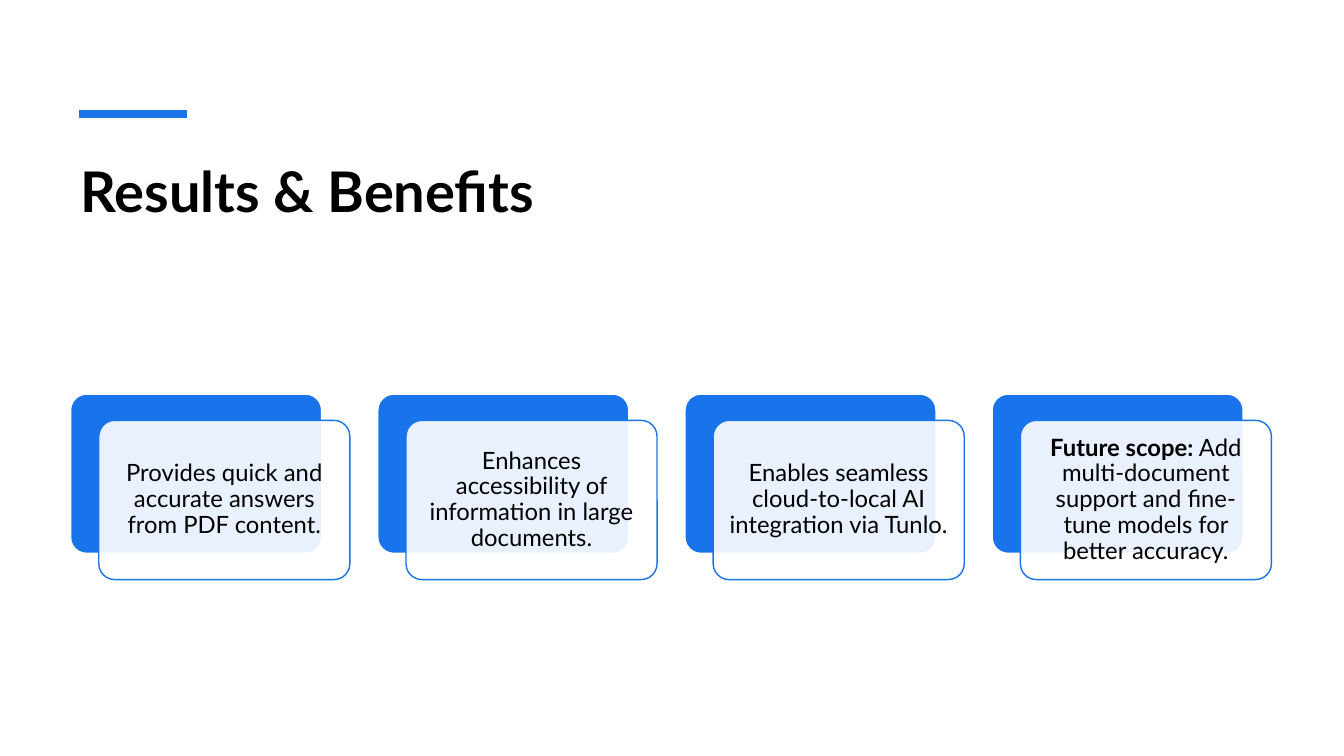
from lxml.etree import SubElement
from pptx import Presentation
from pptx.dml.color import RGBColor
from pptx.enum.shapes import MSO_CONNECTOR, MSO_SHAPE
from pptx.enum.text import MSO_ANCHOR, PP_ALIGN
from pptx.oxml.ns import qn
from pptx.util import Inches, Pt

BLUE = RGBColor(0x19, 0x73, 0xEB)
WHITE = RGBColor(0xFF, 0xFF, 0xFF)
BLACK = RGBColor(0x00, 0x00, 0x00)
FONT = "Lato"

# Grid, in inches
LEFT, SPAN = 0.7, 11.91
CARD_W, CARD_H = 2.49, 1.58
CARD_TOP = 3.91
SHIFT_X, SHIFT_Y = 0.28, 0.26

# Each card holds runs of (text, bold)
CARDS = [
    [("Provides quick and accurate answers from PDF content.", False)],
    [("Enhances accessibility of information in large documents.", False)],
    [("Enables seamless cloud-to-local AI integration via Tunlo.", False)],
    [("Future scope:", True),
     (" Add multi-document support and fine-tune models for better accuracy.", False)],
]


def write(shape, runs, size, align=PP_ALIGN.LEFT, anchor=MSO_ANCHOR.TOP,
          inset=(0.1, 0.05), spacing=1.0):
    frame = shape.text_frame
    frame.word_wrap = True
    frame.vertical_anchor = anchor
    frame.margin_left = frame.margin_right = Inches(inset[0])
    frame.margin_top = frame.margin_bottom = Inches(inset[1])
    para = frame.paragraphs[0]
    para.alignment = align
    para.line_spacing = spacing
    for text, bold in runs:
        run = para.add_run()
        run.text = text
        run.font.name = FONT
        run.font.size = Pt(size)
        run.font.bold = bold
        run.font.color.rgb = BLACK


def add_panel(slide, left, top, fill, line, alpha=None):
    panel = slide.shapes.add_shape(
        MSO_SHAPE.ROUNDED_RECTANGLE,
        Inches(left), Inches(top), Inches(CARD_W), Inches(CARD_H))
    panel.adjustments[0] = 0.1
    panel.shadow.inherit = False
    panel.fill.solid()
    panel.fill.fore_color.rgb = fill
    panel.line.color.rgb = line
    panel.line.width = Pt(1)
    if alpha is not None:
        color = panel._element.spPr.find(qn("a:solidFill")).find(qn("a:srgbClr"))
        SubElement(color, qn("a:alpha")).set("val", str(alpha * 1000))
    return panel


def add_card(slide, left, runs):
    add_panel(slide, left, CARD_TOP, BLUE, WHITE)
    front = add_panel(slide, left + SHIFT_X, CARD_TOP + SHIFT_Y,
                      WHITE, BLUE, alpha=90)
    write(front, runs, 17, align=PP_ALIGN.CENTER, anchor=MSO_ANCHOR.MIDDLE,
          inset=(0.07, 0.07), spacing=0.9)


def add_accent(slide, left, right, y):
    bar = slide.shapes.add_connector(
        MSO_CONNECTOR.STRAIGHT, Inches(left), Inches(y), Inches(right), Inches(y))
    bar.line.color.rgb = BLUE
    bar.line.width = Pt(6)
    SubElement(bar._element.spPr, qn("a:effectLst"))


def main():
    deck = Presentation()
    deck.slide_width, deck.slide_height = Inches(13.33), Inches(7.5)
    slide = deck.slides.add_slide(deck.slide_layouts[6])

    # Heading
    add_accent(slide, 0.78, 1.85, 1.13)
    title = slide.shapes.add_textbox(
        Inches(LEFT), Inches(1.5), Inches(SPAN), Inches(1.2))
    write(title, [("Results & Benefits", True)], 40)

    # Row of cards, spread evenly over the span
    step = (SPAN - CARD_W - SHIFT_X) / (len(CARDS) - 1)
    for col, runs in enumerate(CARDS):
        add_card(slide, LEFT + col * step, runs)

    deck.save("out.pptx")


if __name__ == "__main__":
    main()
